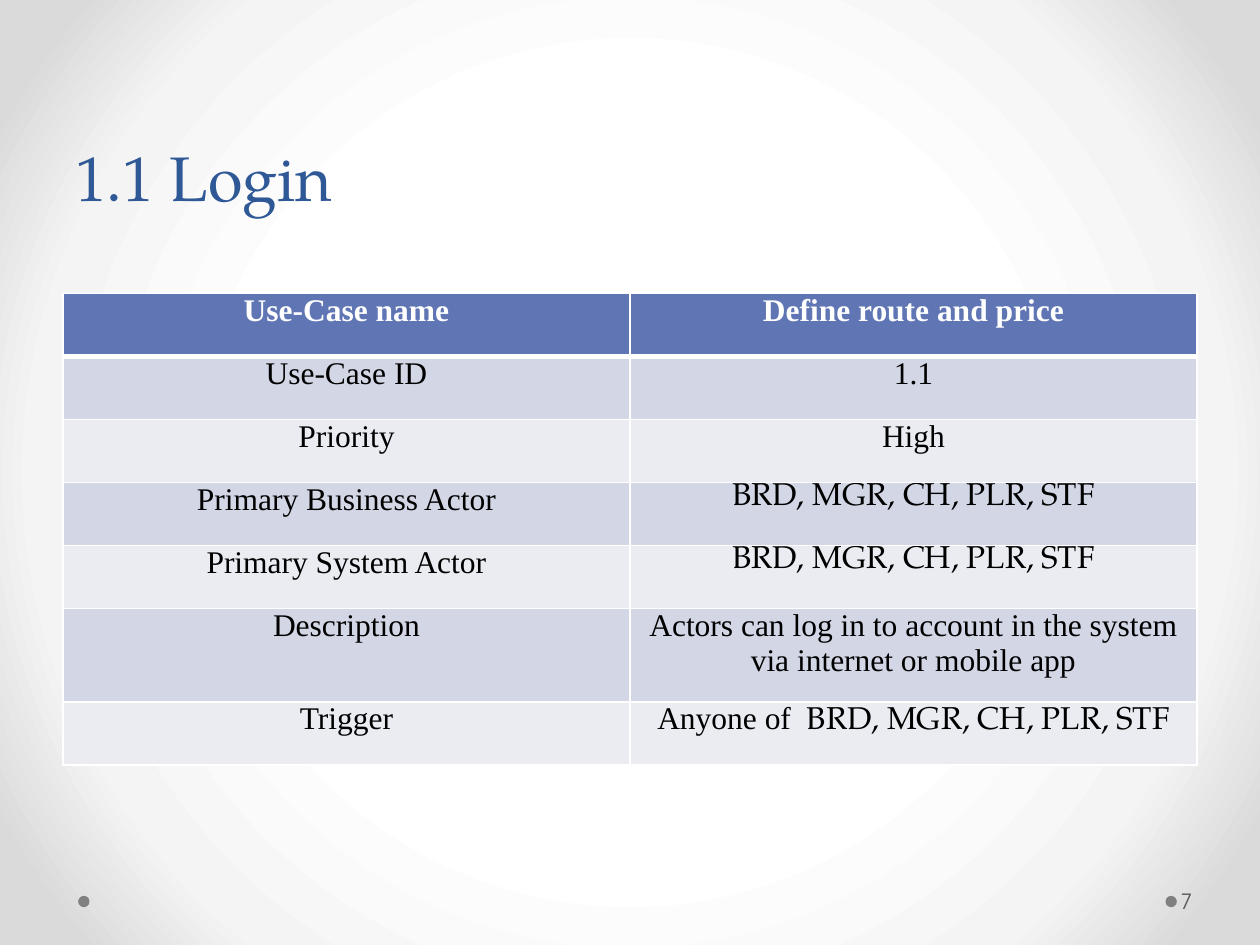
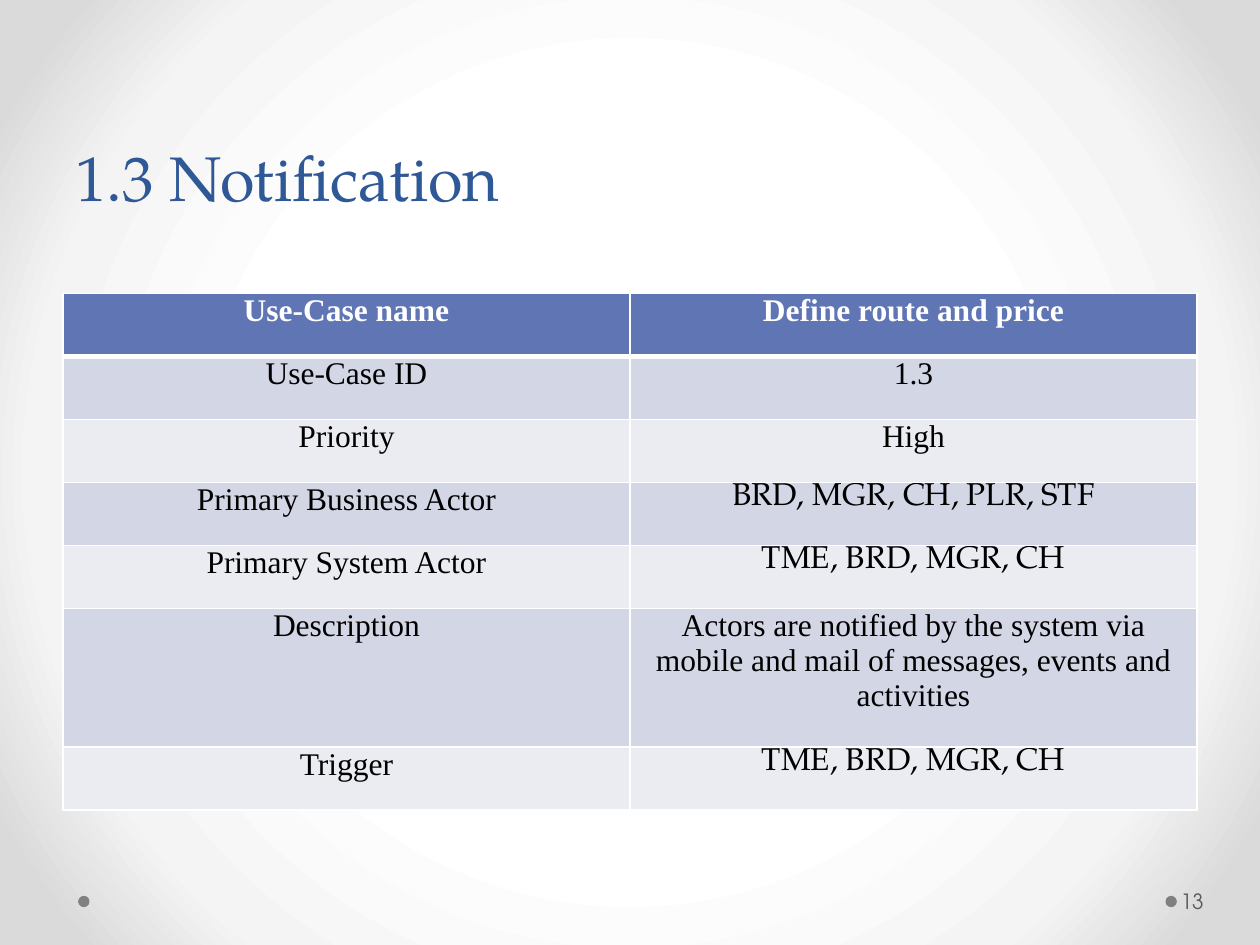
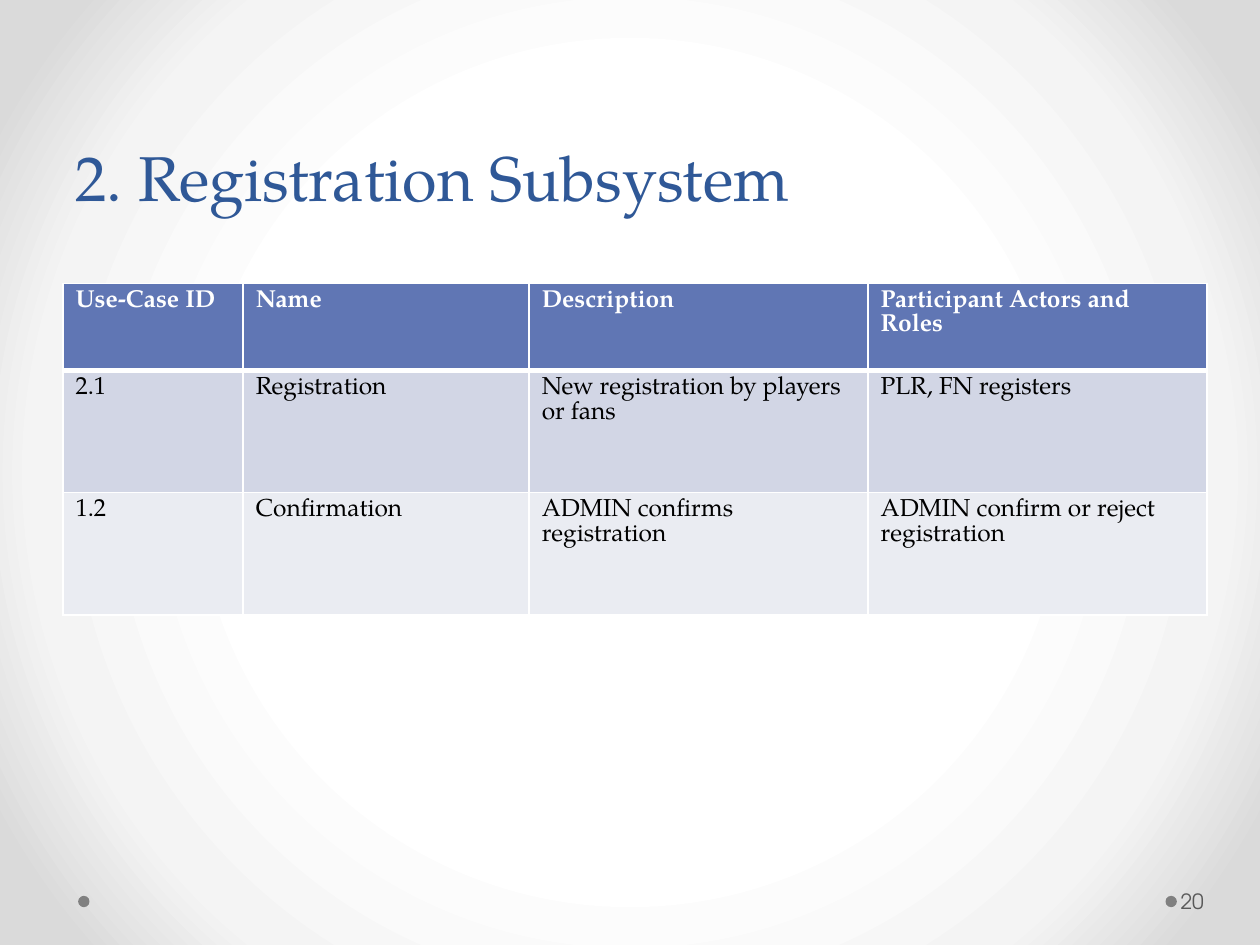
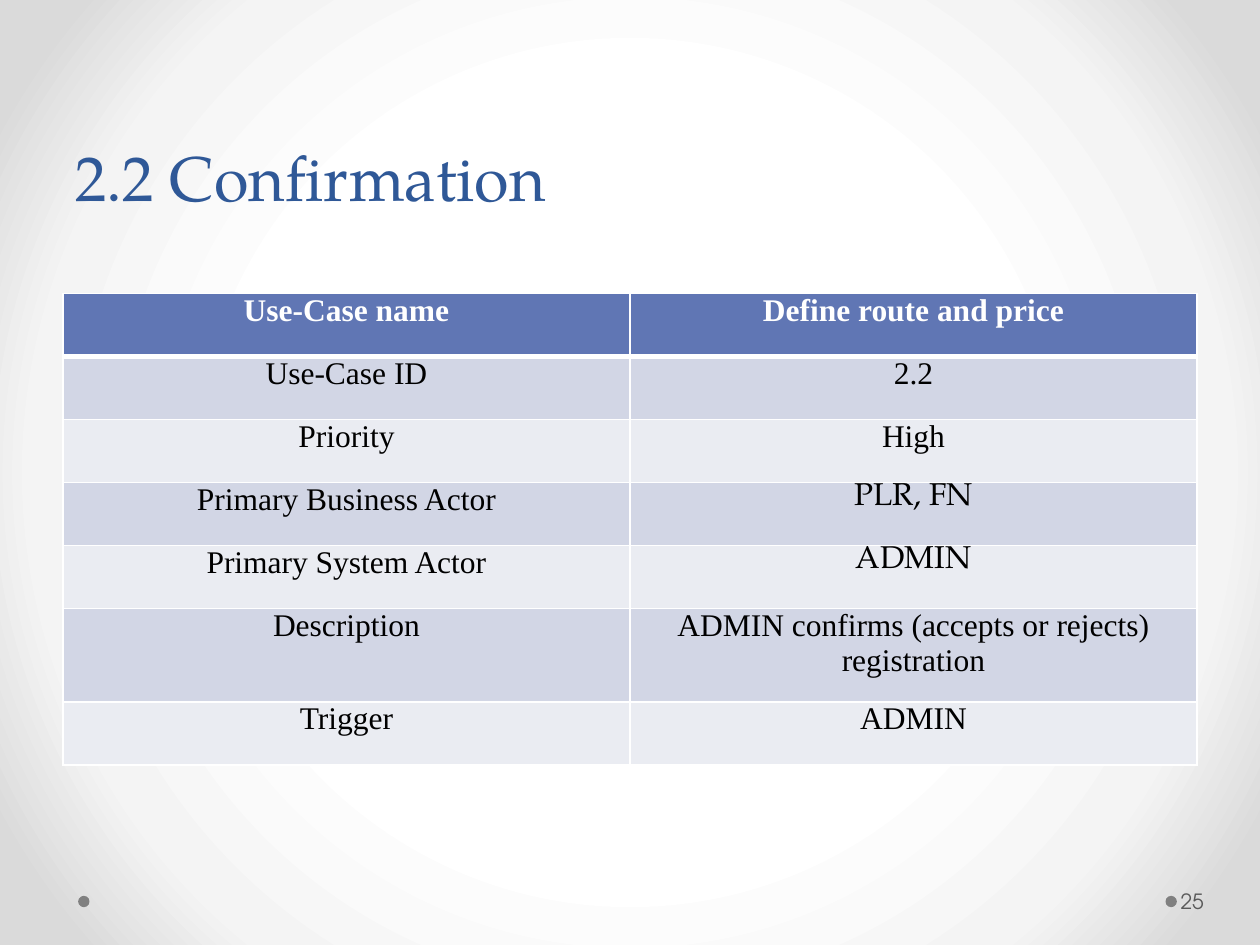
import pptx
import pptx.dml.color
import pptx.enum.shapes
import pptx.enum.text
import pptx.oxml
import pptx.oxml.ns
import pptx.util
from dataclasses import dataclass

# In a cell, the text after "|" is set in the display font.
USE_CASE_FIELDS = [
    "Use-Case name", "Use-Case ID", "Priority", "Primary Business Actor",
    "Primary System Actor", "Description", "Trigger",
]

USE_CASES = {
    "1.1 Login": [
        "Define route and price", "1.1", "High",
        "|BRD, MGR, CH, PLR, STF", "|BRD, MGR, CH, PLR, STF",
        "Actors can log in to account in the system via internet or mobile app",
        "Anyone of  |BRD, MGR, CH, PLR, STF",
    ],
    "1.3 Notification": [
        "Define route and price", "1.3", "High",
        "|BRD, MGR, CH, PLR, STF", "|TME, BRD, MGR, CH",
        "Actors are notified by the system via mobile and mail of messages, "
        "events and activities",
        "|TME, BRD, MGR, CH",
    ],
    "2.2 Confirmation": [
        "Define route and price", "2.2", "High",
        "|PLR, FN", "|ADMIN",
        "ADMIN confirms (accepts or rejects) registration",
        "ADMIN",
    ],
}

REGISTRATION_ROWS = [
    ["|Use-Case ID", "|Name", "|Description", "|Participant Actors and Roles"],
    ["|2.1", "|Registration", "|New registration by players or fans",
     "|PLR, FN registers"],
    ["|1.2", "|Confirmation", "|ADMIN confirms registration",
     "|ADMIN confirm or reject registration"],
]

# Title, page number, height of the description row (None: overview table)
SLIDES = [
    ("1.1 Login", 7, 0.74),
    ("1.3 Notification", 13, 1.1),
    ("2. Registration Subsystem", 20, None),
    ("2.2 Confirmation", 25, 0.74),
]


@dataclass(frozen=True)
class Theme:
    display: str = "TeX Gyre Pagella"
    body: str = "Times New Roman"
    number: str = "TeX Gyre Adventor"
    title_color: str = "2F5897"
    number_color: str = "595959"
    dot: str = "808080"
    header: str = "6076B4"
    bands: tuple = ("EAECF2", "D2D6E5")
    white: str = "FFFFFF"
    black: str = "000000"
    backdrop: tuple = ((50, "FFFFFF"), (76, "F4F4F4"), (92, "DADADA"))
    title_size: int = 36
    title_leading: int = 58
    field_size: int = 18
    overview_size: int = 14
    number_size: int = 12
    rule: int = 1
    header_rule: int = 3


T = Theme()
WIDTH, HEIGHT = 10, 7.5
MARGIN = WIDTH / 20
CONTENT_WIDTH = WIDTH - 2 * MARGIN
ROW = 0.5
DOT = 0.09
DOT_TOP = 7.11
DOT_LEFTS = (9.25, 0.62)
ALIGN = pptx.enum.text.PP_ALIGN
ANCHOR = pptx.enum.text.MSO_ANCHOR
inches = pptx.util.Inches


def rgb(value):
    return pptx.dml.color.RGBColor.from_string(value)


def write(tf, text, font, size, color, bold=False, align=ALIGN.LEFT, leading=None):
    p = tf.paragraphs[0]
    p.alignment = align
    if leading:
        p.line_spacing = pptx.util.Pt(leading)
    plain, _, display = text.partition("|")
    for part, face in ((plain, font), (display, T.display)):
        if part:
            r = p.add_run()
            r.text = part
            r.font.name, r.font.size, r.font.bold = face, pptx.util.Pt(size), bold
            r.font.color.rgb = rgb(color)


def add_text(s, box, text, anchor, left_inset=0.1, **text_format):
    tf = s.shapes.add_textbox(*map(inches, box)).text_frame
    tf.word_wrap = True
    tf.vertical_anchor = anchor
    tf.margin_left = inches(left_inset)
    tf.margin_right = tf.margin_top = tf.margin_bottom = inches(0.05)
    write(tf, text, **text_format)


def set_borders(cell, **widths):
    """Draw white borders; the keys L, R, T and B give widths in points."""
    tcPr = cell._tc.get_or_add_tcPr()
    for side, width in widths.items():
        tcPr.append(pptx.oxml.parse_xml(
            f'<a:ln{side} {pptx.oxml.ns.nsdecls("a")} w="{pptx.util.Pt(width)}">'
            f'<a:solidFill><a:srgbClr val="{T.white}"/></a:solidFill></a:ln{side}>'))


def add_grid(s, rows, top, widths, heights, size, align, insets=None):
    """Add a banded table; insets are the side and the top/bottom cell margins."""
    box = (MARGIN, top, sum(widths), sum(heights))
    table = s.shapes.add_table(len(rows), len(widths), *map(inches, box)).table
    for column, width in zip(table.columns, widths):
        column.width = inches(width)
    for i, (texts, height) in enumerate(zip(rows, heights)):
        table.rows[i].height = inches(height)
        header = i == 0
        for j, text in enumerate(texts):
            cell = table.cell(i, j)
            if insets:
                cell.margin_left = cell.margin_right = inches(insets[0])
                cell.margin_top = cell.margin_bottom = inches(insets[1])
            set_borders(cell, L=T.rule, R=T.rule,
                        T=T.header_rule if i == 1 else T.rule,
                        B=T.header_rule if header else T.rule)
            cell.fill.solid()
            cell.fill.fore_color.rgb = rgb(T.header if header else T.bands[i % 2])
            write(cell.text_frame, text, font=T.body, size=size, bold=header,
                  color=T.white if header else T.black, align=align)


def add_use_case(s, values, description_height):
    heights = [description_height if field == "Description" else ROW
               for field in USE_CASE_FIELDS]
    add_grid(s, list(zip(USE_CASE_FIELDS, values)), 2.33, [CONTENT_WIDTH / 2] * 2,
             heights, T.field_size, ALIGN.CENTER, insets=(0.07, 0))


def add_overview(s):
    add_grid(s, REGISTRATION_ROWS, 2.25, [1.43, 2.27, 2.69, 2.69],
             [0.69, 0.97, 0.97], T.overview_size, ALIGN.LEFT)


def add_frame(s, title, number):
    """Add what every slide carries: footer dots, title and page number."""
    for left in DOT_LEFTS:
        dot = s.shapes.add_shape(pptx.enum.shapes.MSO_SHAPE.OVAL,
                                 *map(inches, (left, DOT_TOP, DOT, DOT)))
        dot.shadow.inherit = False
        dot.fill.solid()
        dot.fill.fore_color.rgb = rgb(T.dot)
        dot.line.fill.background()
    add_text(s, (MARGIN, 0, CONTENT_WIDTH, 1.75), title, ANCHOR.BOTTOM,
             font=T.display, size=T.title_size, color=T.title_color,
             leading=T.title_leading)
    add_text(s, (9.34, 6.95, 0.61, 0.4), str(number), ANCHOR.MIDDLE, left_inset=0.03,
             font=T.number, size=T.number_size, color=T.number_color)


def set_backdrop(master):
    """Give the master a circular gradient that all slides inherit."""
    master.background.fill.solid()
    bgPr = master.element.find(".//" + pptx.oxml.ns.qn("p:bgPr"))
    stops = "".join(f'<a:gs pos="{pos * 1000}"><a:srgbClr val="{color}"/></a:gs>'
                    for pos, color in T.backdrop)
    bgPr.replace(bgPr[0], pptx.oxml.parse_xml(
        f'<a:gradFill {pptx.oxml.ns.nsdecls("a")} rotWithShape="1">'
        f'<a:gsLst>{stops}</a:gsLst><a:path path="circle">'
        '<a:fillToRect l="50000" t="50000" r="50000" b="50000"/>'
        '</a:path></a:gradFill>'))


def main():
    prs = pptx.Presentation()
    prs.slide_width, prs.slide_height = inches(WIDTH), inches(HEIGHT)
    set_backdrop(prs.slide_master)
    for title, number, description_height in SLIDES:
        s = prs.slides.add_slide(prs.slide_layouts[6])
        add_frame(s, title, number)
        if title in USE_CASES:
            add_use_case(s, USE_CASES[title], description_height)
        else:
            add_overview(s)
    prs.save("out.pptx")


if __name__ == "__main__":
    main()
